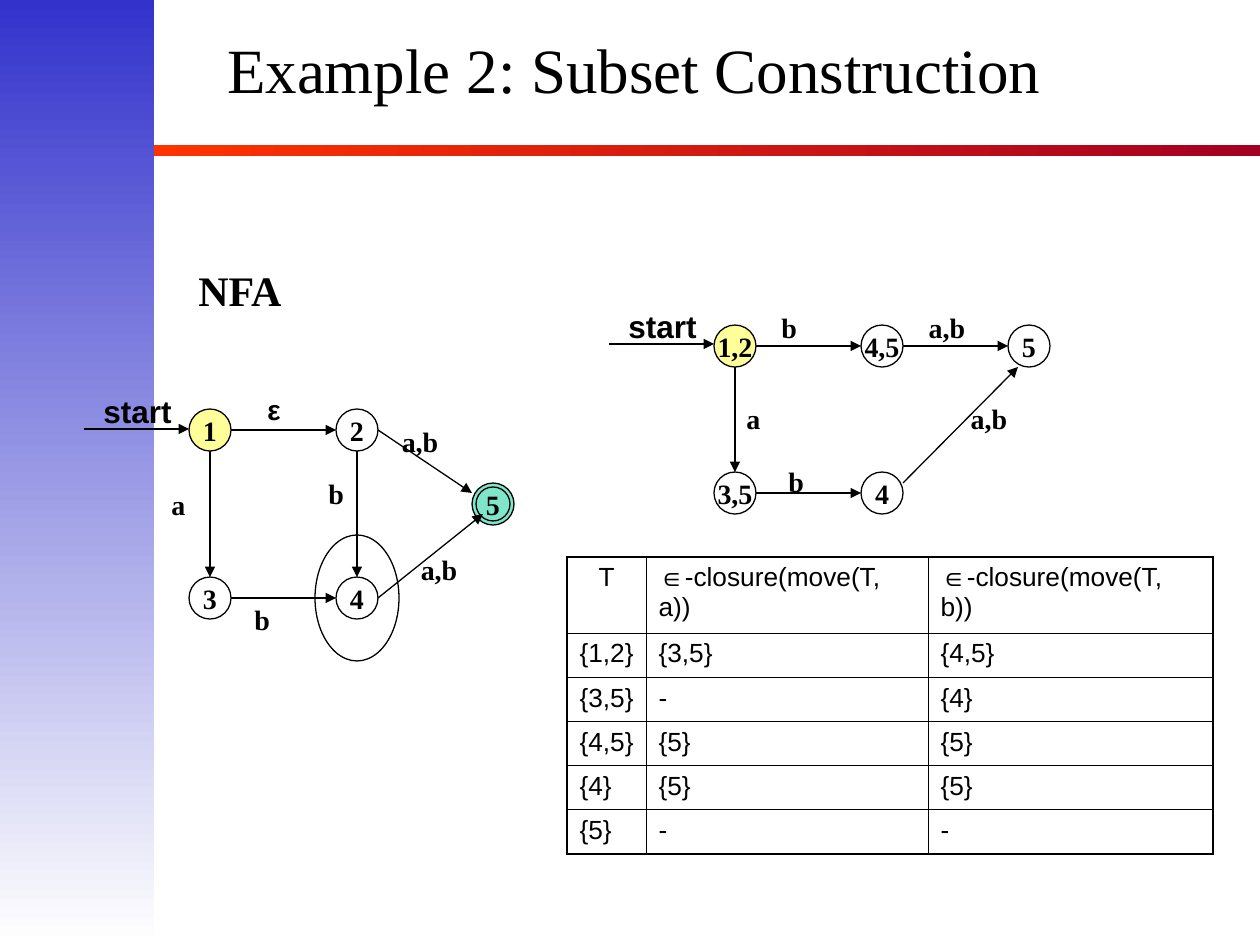
from lxml.etree import SubElement
from pptx import Presentation
from pptx.dml.color import RGBColor
from pptx.enum.shapes import MSO_CONNECTOR as Link, MSO_SHAPE as Shape
from pptx.enum.text import MSO_ANCHOR as Anchor, MSO_AUTO_SIZE as Fit, PP_ALIGN as Align
from pptx.oxml.ns import qn
from pptx.util import Emu, Pt

BLACK = RGBColor(0x00, 0x00, 0x00)
WHITE = RGBColor(0xFF, 0xFF, 0xFF)
YELLOW = RGBColor(0xFF, 0xFF, 0x99)
GREEN = RGBColor(0x00, 0xCC, 0x99)
BLUE = RGBColor(0x33, 0x33, 0xCC)
RED = RGBColor(0xFF, 0x33, 0x00)
WINE = RGBColor(0xA5, 0x00, 0x21)
SERIF, SANS = "Times New Roman", "Arial"
SIZE, HALF = 42, 21  # diameter and radius of a state

# State: (left, top, fill)
NFA = {
    "1": (189, 409, YELLOW),
    "5": (472, 483, GREEN),
    "2": (336, 409, WHITE),
    "4": (336, 577, WHITE),
    "3": (189, 577, WHITE),
}
DFA = {
    "1,2": (714, 325, YELLOW),
    "4,5": (861, 325, None),
    "5": (1008, 325, None),
    "3,5": (714, 472, None),
    "4": (861, 472, None),
}
NFA_MOVES = [("1", "2"), ("2", "4"), ("1", "3"), ("3", "4")]
DFA_MOVES = [("1,2", "4,5"), ("4,5", "5"), ("1,2", "3,5"), ("3,5", "4")]
SLANTS = [(378, 598, 483, 514), (378, 430, 472, 493), (903, 483, 1018, 367)]

# Text, left, top, width
LABELS = [
    ("b", 242, 596, 40), ("a", 159, 481, 39), ("b", 316, 470, 40),
    ("a,b", 389, 418, 62), ("a,b", 408, 546, 62),
    ("a,b", 916, 304, 62), ("a,b", 958, 395, 62), ("b", 769, 304, 40),
    ("a", 734, 395, 39), ("b", 776, 458, 40),
]
ROWS = [
    ("T", "∈-closure(move(T, a))", "∈-closure(move(T, b))"),
    ("{1,2}", "{3,5}", "{4,5}"),
    ("{3,5}", "-", "{4}"),
    ("{4,5}", "{5}", "{5}"),
    ("{4}", "{5}", "{5}"),
    ("{5}", "-", "-"),
]
COLS = (79, 282, 285)


def px(*vals):
    return [Emu(round(val * 914400 / 126)) for val in vals]


def style(para, size, face, bold=False, align=Align.CENTER):
    para.alignment = align
    for run in para.runs:
        font = run.font
        font.size, font.name, font.bold = Pt(size), face, bold
        font.color.rgb = BLACK


def band(shapes, box, first, last, angle):
    rect = shapes.add_shape(Shape.RECTANGLE, *px(*box))
    rect.shadow.inherit = False
    rect.line.fill.background()
    rect.fill.gradient()
    rect.fill.gradient_angle = angle
    for stop, color in zip(rect.fill.gradient_stops, (first, last)):
        stop.color.rgb = color


def oval(shapes, box, fill=None):
    ring = shapes.add_shape(Shape.OVAL, *px(*box))
    ring.shadow.inherit = False
    ring.line.color.rgb = BLACK
    ring.line.width = Pt(0.75)
    if fill is None:
        ring.fill.background()
    else:
        ring.fill.solid()
        ring.fill.fore_color.rgb = fill
    return ring


def state(shapes, name, left, top, fill):
    ring = oval(shapes, (left, top, SIZE, SIZE), fill)
    if fill == GREEN:
        tone = ring.fill._xPr.find(".//" + qn("a:srgbClr"))
        SubElement(tone, qn("a:alpha"), val="50000")
    frame = ring.text_frame
    frame.word_wrap = False
    frame.vertical_anchor = Anchor.MIDDLE
    frame.text = name
    style(frame.paragraphs[0], 16, SERIF, True)


def arrow(shapes, *ends):
    line = shapes.add_connector(Link.STRAIGHT, *px(*ends))
    line.line.color.rgb = BLACK
    line.line.width = Pt(0.75)
    SubElement(line.line._get_or_add_ln(), qn("a:tailEnd"), type="triangle")
    SubElement(line._element.spPr, qn("a:effectLst"))


def move(shapes, start, end):
    """Join two states that share a row or a column."""
    (x1, y1, _), (x2, y2, _) = start, end
    if y1 == y2:
        arrow(shapes, x1 + SIZE, y1 + HALF, x2, y2 + HALF)
    else:
        arrow(shapes, x1 + HALF, y1 + SIZE, x2 + HALF, y2)


def label(shapes, text, box, size=16, face=SERIF, align=Align.CENTER):
    frame = shapes.add_textbox(*px(*box)).text_frame
    frame.word_wrap = False
    frame.auto_size = Fit.SHAPE_TO_FIT_TEXT
    frame.text = text
    style(frame.paragraphs[0], size, face, True, align)


def graph(shapes, states, moves):
    for name, place in states.items():
        state(shapes, name, *place)
    for start, end in moves:
        move(shapes, states[start], states[end])


def entry(shapes, left, top):
    """Mark the first state with an arrow named start."""
    group = shapes.add_group_shape().shapes
    arrow(group, left, top, left + 105, top)
    label(group, "start", (left + 7, top - 43, 98, 50), 18, SANS, Align.LEFT)


def edge(cell, side, outer):
    props = cell._tc.get_or_add_tcPr()
    line = SubElement(props, qn("a:ln" + side), w=str(Pt(1.08 if outer else 0.45)))
    fill = SubElement(line, qn("a:solidFill"))
    SubElement(fill, qn("a:srgbClr"), val=str(BLACK))


def grid(shapes):
    count, width = len(ROWS), len(COLS)
    table = shapes.add_table(count, width, *px(567, 557, sum(COLS), 296)).table
    table.first_row = table.horz_banding = False
    for col, wide in zip(table.columns, COLS):
        col.width = px(wide)[0]
    for i, row in enumerate(ROWS):
        table.rows[i].height = px(44 if i else 76)[0]
        for j, text in enumerate(row):
            cell = table.cell(i, j)
            cell.text = text
            if i and j == 0:
                cell.margin_right = px(4)[0]  # keeps the sets on one line
            align = Align.LEFT if i or j else Align.CENTER
            style(cell.text_frame.paragraphs[0], 15, SANS, align=align)
            edge(cell, "L", j == 0)
            edge(cell, "R", j == width - 1)
            edge(cell, "T", i == 0)
            edge(cell, "B", i == count - 1)
            cell.fill.background()


def head(shapes, text):
    title = shapes.title
    title.left, title.top, title.width, title.height = px(42, 31, 1184, 88)
    frame = title.text_frame
    frame.text = text
    frame.vertical_anchor = Anchor.MIDDLE
    frame.paragraphs[0].line_spacing = 0.8
    style(frame.paragraphs[0], 36, SERIF)
    shapes._spTree.append(title._element)  # in front of the bands


def main():
    deck = Presentation()
    deck.slide_width, deck.slide_height = px(1260, 945)
    shapes = deck.slides.add_slide(deck.slide_layouts[5]).shapes
    band(shapes, (151, 145, 1109, 11), RED, WINE, 0)
    band(shapes, (0, 0, 154, 945), BLUE, WHITE, 270)
    head(shapes, "Example 2: Subset Construction")
    graph(shapes, NFA, NFA_MOVES)
    graph(shapes, DFA, DFA_MOVES)
    for ends in SLANTS:
        arrow(shapes, *ends)
    for text, left, top, width in LABELS:
        label(shapes, text, (left, top, width, 47))
    label(shapes, "ε", (255, 386, 37, 47), face=SANS)
    label(shapes, "NFA", (186, 258, 111, 63), 24, align=Align.LEFT)
    grid(shapes)
    oval(shapes, (315, 535, 84, 126))
    entry(shapes, 609, 344)
    entry(shapes, 84, 429)
    oval(shapes, (476, 487, 34, 34))
    deck.save("out.pptx")


if __name__ == "__main__":
    main()
